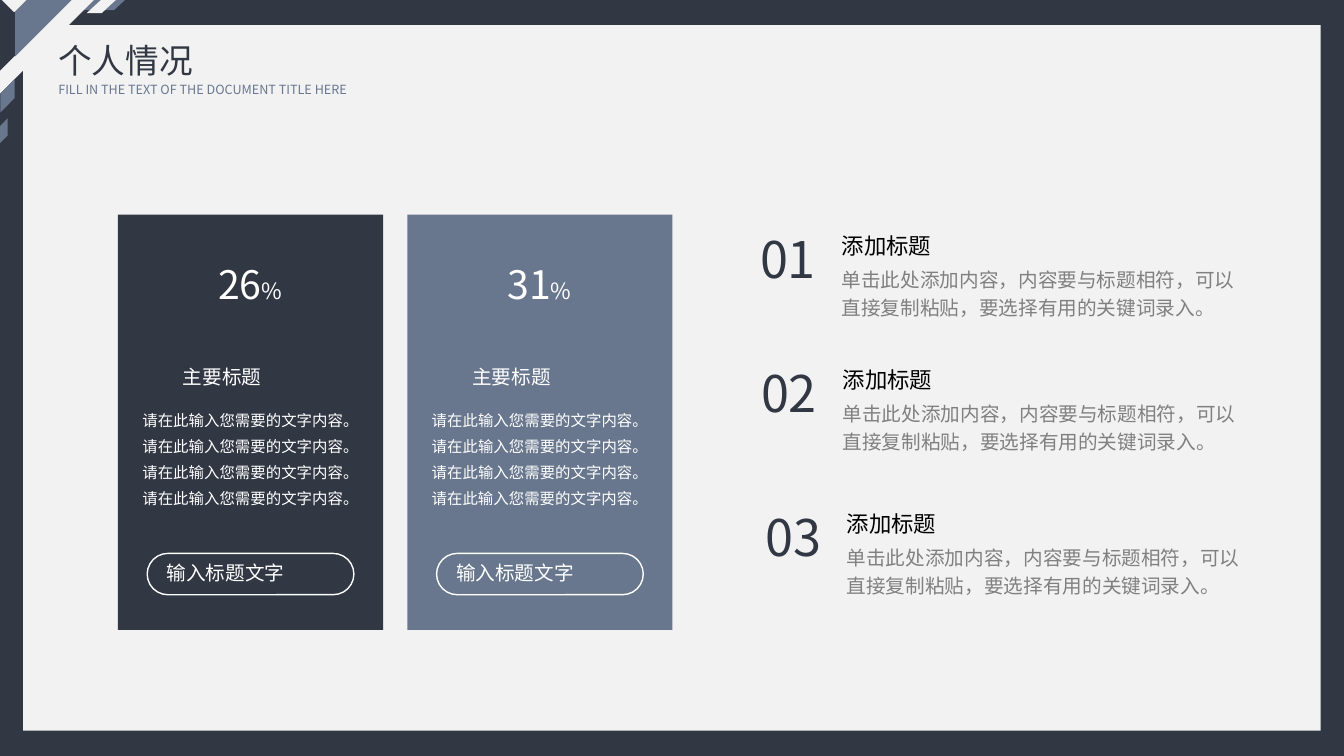
import pptx
import pptx.util
import pptx.dml.color
import pptx.enum.shapes
import pptx.enum.text
import lxml.etree
from dataclasses import dataclass

Inches = pptx.util.Inches
Pt = pptx.util.Pt
SHAPE = pptx.enum.shapes.MSO_SHAPE
ALIGN = pptx.enum.text.PP_ALIGN


@dataclass(frozen=True)
class Theme:
    font: str = "Noto Sans CJK SC"
    navy: str = "313743"
    slate: str = "68778E"
    paper: str = "F2F2F2"
    white: str = "FFFFFF"
    black: str = "000000"
    grey: str = "808080"
    title: int = 24
    subtitle: int = 9
    percent: int = 28
    percent_sign: int = 16
    label: int = 14
    card_text: int = 11
    number: int = 36
    heading: int = 16


THEME = Theme()


def rgb(value):
    return pptx.dml.color.RGBColor.from_string(value)


def add_text(slide, box, runs, color, align=None, spacing=None, wrap=True):
    """Place one paragraph made of (text, size) runs."""
    frame = slide.shapes.add_textbox(*map(Inches, box)).text_frame
    frame.word_wrap = wrap
    frame.auto_size = pptx.enum.text.MSO_AUTO_SIZE.SHAPE_TO_FIT_TEXT
    paragraph = frame.paragraphs[0]
    paragraph.alignment = align
    paragraph.line_spacing = spacing
    for words, size in runs:
        run = paragraph.add_run()
        run.text = words
        run.font.name = THEME.font
        run.font.size = Pt(size)
        run.font.color.rgb = rgb(color)
        east_asian = lxml.etree.SubElement(run.font._element, pptx.oxml.ns.qn("a:ea"))
        east_asian.set("typeface", THEME.font)


def add_shape(slide, preset, box, fill=None, line=None, rotation=0, adjust=None, flip=False):
    shape = slide.shapes.add_shape(preset, *map(Inches, box))
    shape.shadow.inherit = False
    shape.rotation = rotation
    if adjust is not None:
        shape.adjustments[0] = adjust
    if flip:
        shape._element.spPr.xfrm.set("flipH", "1")
    if fill:
        shape.fill.solid()
        shape.fill.fore_color.rgb = rgb(fill)
    else:
        shape.fill.background()
    if line:
        shape.line.color.rgb = rgb(line)
        shape.line.width = Pt(1)
    else:
        shape.line.fill.background()


def add_corner(slide, left, top):
    """Folded ribbon in the top left corner."""
    def stripe(x, y, width, height, fill, **style):
        add_shape(slide, SHAPE.PARALLELOGRAM, (left + x, top + y, width, height), fill, **style)

    def triangle(x, y, side, fill, rotation=90):
        add_shape(slide, SHAPE.RIGHT_TRIANGLE, (left + x, top + y, side, side), fill,
                  rotation=rotation)

    across = dict(rotation=180, adjust=1.08)
    down = dict(rotation=90, adjust=1.01, flip=True)
    stripe(0.59, 0, 0.66, 0.11, THEME.slate, **across)
    triangle(0, 0, 0.94, THEME.paper)
    triangle(0, 0, 0.71, THEME.navy)
    triangle(0.15, 0, 0.57, THEME.slate)
    triangle(0.04, -0.11, 0.2, THEME.paper, rotation=315)
    stripe(0.86, 0, 0.3, 0.14, THEME.paper, **across)
    stripe(-0.09, 0.89, 0.33, 0.14, THEME.slate, **down)
    stripe(-0.09, 1.27, 0.25, 0.08, THEME.slate, **down)


def add_header(slide, left, top):
    add_text(slide, (left, top, 2.54, 0.5), [("个人情况", THEME.title)],
             THEME.navy, align=ALIGN.JUSTIFY)
    add_text(slide, (left, top + 0.41, 3.08, 0.25),
             [("FILL IN THE TEXT OF THE DOCUMENT TITLE HERE", THEME.subtitle)],
             THEME.slate, wrap=False)


def add_card(slide, left, top, width, height, percent, fill):
    def centred(y, part_width, part_height):
        return left + (width - part_width) / 2, top + y, part_width, part_height

    add_shape(slide, SHAPE.RECTANGLE, (left, top, width, height), fill)
    add_text(slide, centred(0.4, 0.84, 0.57),
             [(percent, THEME.percent), ("%", THEME.percent_sign)], THEME.white, wrap=False)
    add_text(slide, centred(1.44, 1.54, 0.34), [("主要标题", THEME.label)],
             THEME.white, align=ALIGN.JUSTIFY)
    add_text(slide, centred(1.83, 2.39, 1.13),
             [("请在此输入您需要的文字内容。" * 4, THEME.card_text)],
             THEME.white, align=ALIGN.CENTER, spacing=1.4)
    # Outlined button
    add_shape(slide, SHAPE.ROUNDED_RECTANGLE, centred(3.36, 2.05, 0.41),
              line=THEME.white, adjust=0.5)
    add_text(slide, centred(3.39, 1.86, 0.34), [("输入标题文字", THEME.label)],
             THEME.white, align=ALIGN.JUSTIFY)


def add_point(slide, left, top, number):
    add_text(slide, (left, top, 0.76, 0.71), [(number, THEME.number)], THEME.navy, wrap=False)
    add_text(slide, (left + 0.81, top + 0.04, 1.79, 0.37), [("添加标题", THEME.heading)],
             THEME.black, align=ALIGN.JUSTIFY)
    add_text(slide, (left + 0.81, top + 0.35, 4.13, 0.67),
             [("单击此处添加内容，内容要与标题相符，可以直接复制粘贴，要选择有用的关键词录入。",
               THEME.label)], THEME.grey, spacing=1.2)


def main():
    deck = pptx.Presentation()
    deck.slide_width, deck.slide_height = Inches(13.33), Inches(7.5)
    slide = deck.slides.add_slide(deck.slide_layouts[6])

    # Frame, corner and header
    slide.background.fill.solid()
    slide.background.fill.fore_color.rgb = rgb(THEME.navy)
    add_shape(slide, SHAPE.RECTANGLE, (0.23, 0.25, 12.87, 7), THEME.paper)
    add_corner(slide, 0, -0.01)
    add_header(slide, 0.48, 0.35)

    # Percentage cards
    cards = [("26", THEME.navy), ("31", THEME.slate)]
    for index, (percent, fill) in enumerate(cards):
        add_card(slide, 1.17 + index * 2.87, 2.13, 2.63, 4.12, percent, fill)

    # Numbered points
    points = [(7.44, 2.21), (7.45, 3.54), (7.49, 4.97)]
    for index, (left, top) in enumerate(points, start=1):
        add_point(slide, left, top, f"{index:02}")

    deck.save("out.pptx")


if __name__ == "__main__":
    main()
